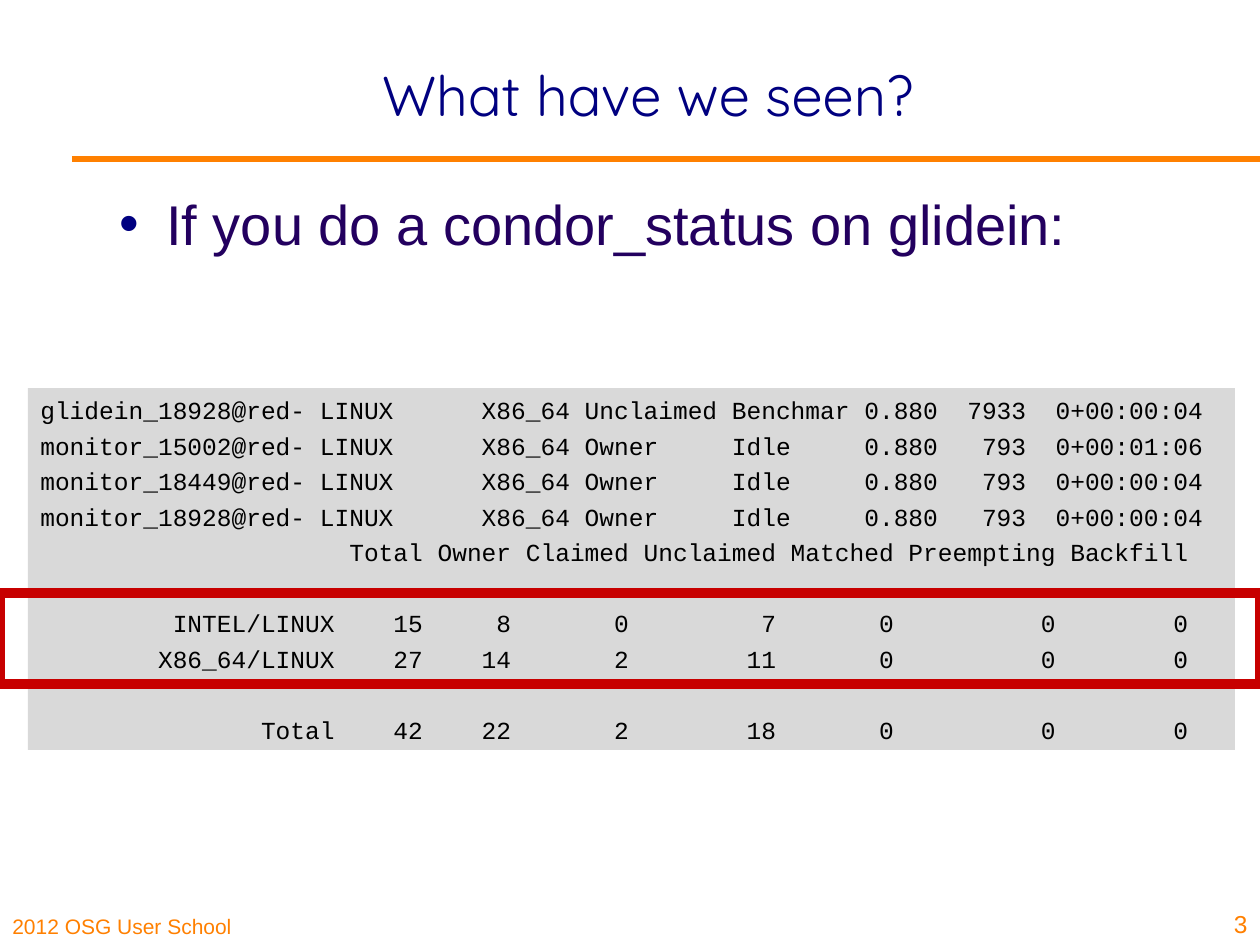
from dataclasses import dataclass

from lxml import etree
from pptx import Presentation
from pptx import util as u
from pptx.dml.color import RGBColor
from pptx.enum import shapes, text
from pptx.oxml.ns import qn

PX_PER_INCH = 126
NAVY = RGBColor(0x00, 0x00, 0x80)
INDIGO = RGBColor(0x23, 0x00, 0x5F)
ORANGE = RGBColor(0xFF, 0x80, 0x00)
RED = RGBColor(0xC7, 0x00, 0x00)
GREY = RGBColor(0xD9, 0xD9, 0xD9)
BLACK = RGBColor(0x00, 0x00, 0x00)

LINE_GAP = 3.5
SECTION_GAP = 23.8


@dataclass(frozen=True)
class Box:
    left: int
    top: int
    width: int
    height: int

    def emu(self) -> list[u.Emu]:
        return [px(n) for n in (self.left, self.top, self.width, self.height)]


@dataclass(frozen=True)
class CodeLine:
    content: str
    space_before: float = LINE_GAP


@dataclass(frozen=True)
class FooterLabel:
    content: str
    box: Box
    size: int
    align: text.PP_ALIGN


STATUS_LINES = [
    CodeLine("glidein_18928@red- LINUX      X86_64 Unclaimed Benchmar 0.880  7933  0+00:00:04", 0),
    CodeLine("monitor_15002@red- LINUX      X86_64 Owner     Idle     0.880   793  0+00:01:06"),
    CodeLine("monitor_18449@red- LINUX      X86_64 Owner     Idle     0.880   793  0+00:00:04"),
    CodeLine("monitor_18928@red- LINUX      X86_64 Owner     Idle     0.880   793  0+00:00:04"),
    CodeLine("                     Total Owner Claimed Unclaimed Matched Preempting Backfill"),
    CodeLine("         INTEL/LINUX    15     8       0         7       0          0        0", SECTION_GAP),
    CodeLine("        X86_64/LINUX    27    14       2        11       0          0        0"),
    CodeLine("               Total    42    22       2        18       0          0        0", SECTION_GAP),
]
FOOTER_LABELS = [
    FooterLabel("2012 OSG User School", Box(0, 892, 312, 53), 12, text.PP_ALIGN.LEFT),
    FooterLabel("3", Box(1202, 882, 58, 63), 14, text.PP_ALIGN.RIGHT),
]


def px(length: int) -> u.Emu:
    return u.Emu(round(length * u.Inches(1) / PX_PER_INCH))


def write(paragraph, content: str, *, size: int, color: RGBColor, font: str = "Arial",
          align=text.PP_ALIGN.LEFT, space_before: float = 0) -> None:
    paragraph.text = content
    paragraph.alignment = align
    paragraph.space_before = u.Pt(space_before)
    paragraph.font.name = font
    paragraph.font.size = u.Pt(size)
    paragraph.font.bold = False
    paragraph.font.color.rgb = color


def prepare_frame(frame, *, anchor=text.MSO_ANCHOR.TOP, top_inset: int = 6):
    frame.word_wrap = True
    frame.auto_size = text.MSO_AUTO_SIZE.NONE
    frame.vertical_anchor = anchor
    frame.margin_top = px(top_inset)
    return frame


def add_bullet(paragraph, color: RGBColor, indent: int) -> None:
    properties = paragraph._p.get_or_add_pPr()
    properties.set("marL", str(px(indent)))
    properties.set("indent", str(-px(indent)))
    bullet_color = etree.SubElement(properties, qn("a:buClr"))
    etree.SubElement(bullet_color, qn("a:srgbClr"), val=str(color))
    etree.SubElement(properties, qn("a:buFont"), typeface="Arial")
    etree.SubElement(properties, qn("a:buChar"), char="•")


def add_title(slide) -> None:
    title = slide.shapes.title
    title.left, title.top, title.width, title.height = Box(169, 15, 958, 158).emu()
    frame = prepare_frame(title.text_frame, anchor=text.MSO_ANCHOR.MIDDLE)
    write(frame.paragraphs[0], "What have we seen?", size=32, color=NAVY,
          font="Quicksand", align=text.PP_ALIGN.CENTER)


def add_title_rule(slide) -> None:
    rule = slide.shapes.add_connector(
        shapes.MSO_CONNECTOR.STRAIGHT, px(72), px(159), px(1260), px(159))
    rule.line.color.rgb = ORANGE
    rule.line.width = u.Pt(3)
    etree.SubElement(rule._element.spPr, qn("a:effectLst"))


def add_body(slide) -> None:
    body = slide.shapes.add_textbox(*Box(107, 184, 1071, 646).emu())
    paragraph = prepare_frame(body.text_frame, top_inset=5).paragraphs[0]
    add_bullet(paragraph, NAVY, 47)
    write(paragraph, "If you do a condor_status on glidein:", size=32, color=INDIGO)


def add_footer_label(slide, label: FooterLabel) -> None:
    box = slide.shapes.add_textbox(*label.box.emu())
    frame = prepare_frame(box.text_frame, anchor=text.MSO_ANCHOR.BOTTOM)
    write(frame.paragraphs[0], label.content, size=label.size, color=ORANGE, align=label.align)


def add_rectangle(slide, box: Box):
    rectangle = slide.shapes.add_shape(shapes.MSO_SHAPE.RECTANGLE, *box.emu())
    rectangle.shadow.inherit = False
    return rectangle


def add_status_panel(slide) -> None:
    panel = add_rectangle(slide, Box(28, 388, 1207, 362))
    panel.fill.solid()
    panel.fill.fore_color.rgb = GREY
    panel.line.fill.background()
    frame = prepare_frame(panel.text_frame, top_inset=7)
    for index, line in enumerate(STATUS_LINES):
        paragraph = frame.add_paragraph() if index else frame.paragraphs[0]
        write(paragraph, line.content, size=14, color=BLACK, font="Courier New",
              space_before=line.space_before)


def add_highlight(slide) -> None:
    highlight = add_rectangle(slide, Box(0, 593, 1260, 91))
    highlight.fill.background()
    highlight.line.color.rgb = RED
    highlight.line.width = u.Pt(6)


def main() -> None:
    presentation = Presentation()
    presentation.slide_width, presentation.slide_height = px(1260), px(945)
    slide = presentation.slides.add_slide(presentation.slide_layouts[5])
    add_title_rule(slide)
    add_title(slide)
    add_body(slide)
    for label in FOOTER_LABELS:
        add_footer_label(slide, label)
    add_status_panel(slide)
    add_highlight(slide)
    presentation.save("out.pptx")


if __name__ == "__main__":
    main()
